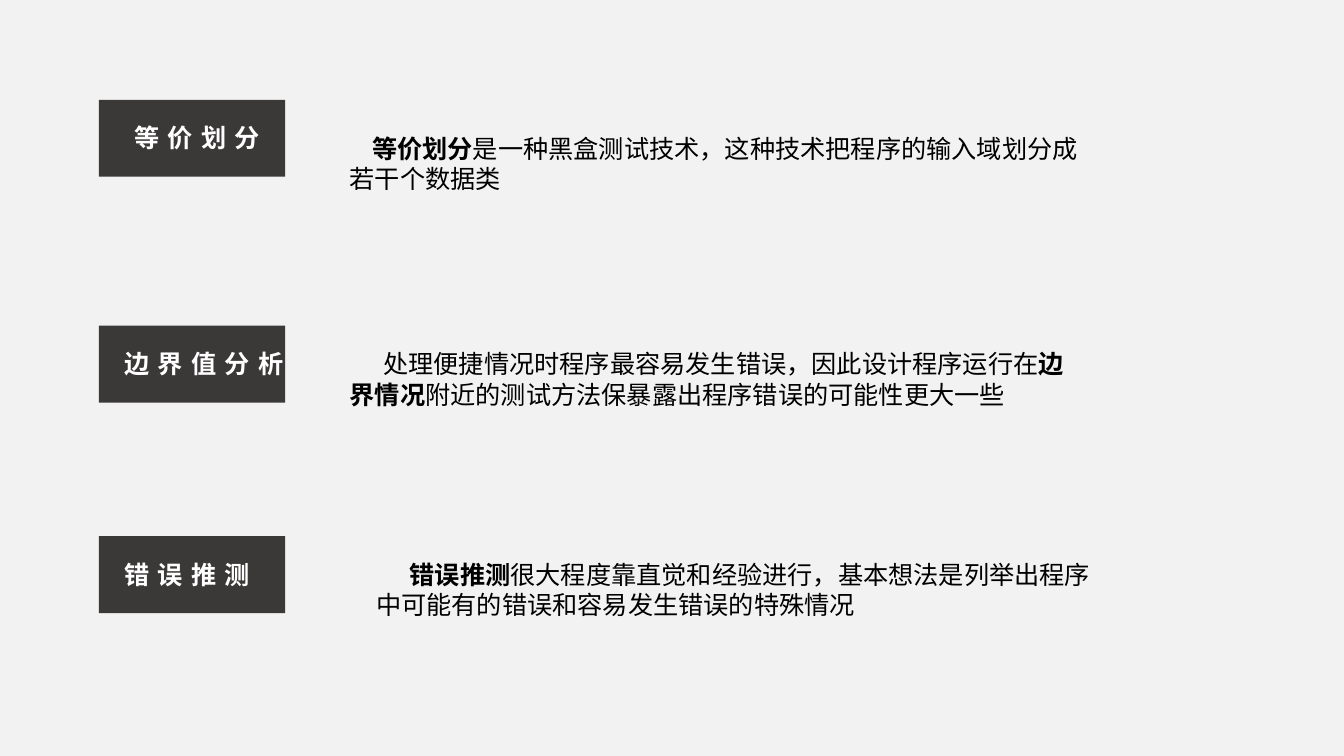
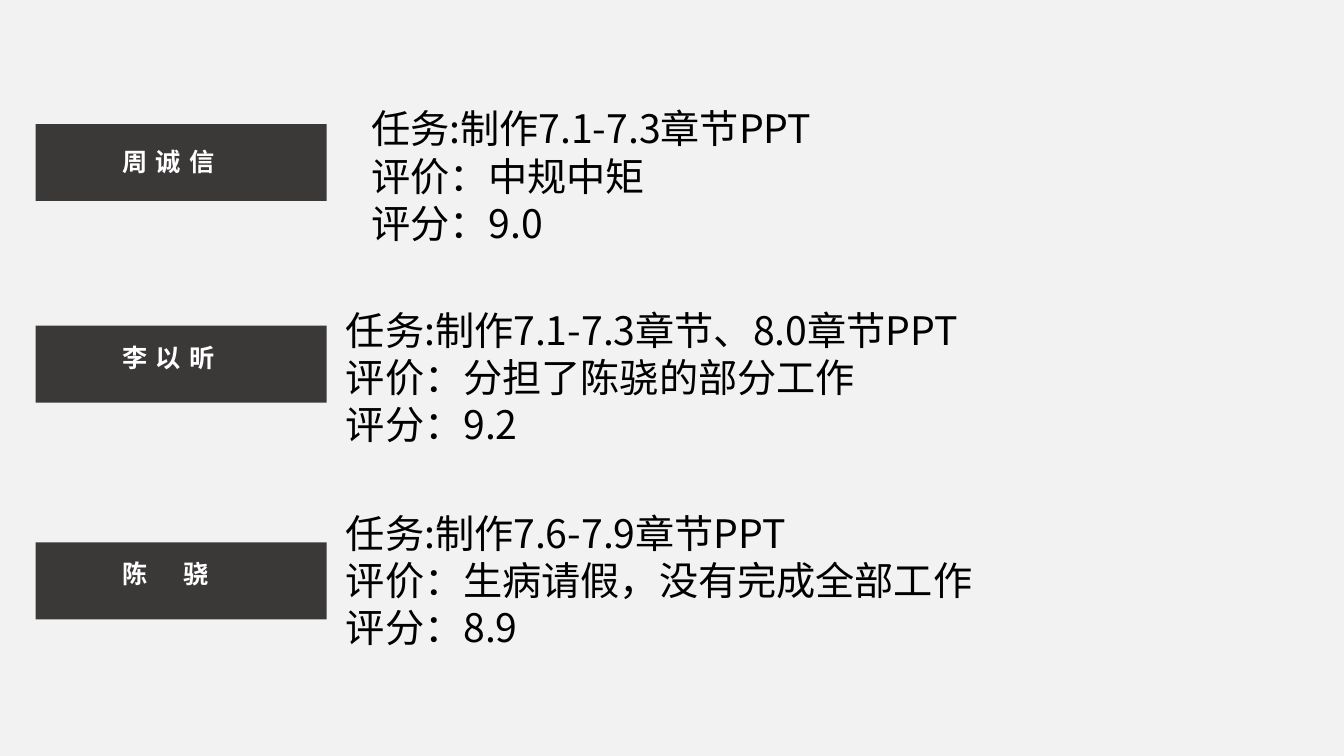
import pptx
import pptx.dml.color
import pptx.enum.shapes
import pptx.enum.text
import pptx.util
from lxml import etree
from pptx.oxml.ns import qn

Pt = pptx.util.Pt

FONT = "Noto Sans CJK SC"
BACKGROUND = "F2F2F2"
PLATE = "3B3838"
WHITE = "FFFFFF"
BLACK = "000000"
PLATE_HEIGHT = 55
TRACKING = 6

# Offsets are measured from the top left corner of the row's plate.
METHODS = [
    dict(top=71.3, label=[("等价划分", TRACKING)], label_offset=(18, 12.3),
         body_offset=(172, 20.2), indent=16,
         body=[("等价划分", True),
               ("是一种黑盒测试技术，这种技术把程序的输入域划分成若干个数据类", False)]),
    dict(top=232.6, label=[("边界值分析", TRACKING)], label_offset=(10.8, 13),
         body_offset=(172, 13), indent=24,
         body=[("处理便捷情况时程序最容易发生错误，因此设计程序运行在", False),
               ("边界情况", True),
               ("附近的测试方法保暴露出程序错误的可能性更大一些", False)]),
    dict(top=383, label=[("错误推测", TRACKING)], label_offset=(10.8, 13),
         body_offset=(190.8, 13), indent=24,
         body=[("错误推测", True),
               ("很大程度靠直觉和经验进行，基本想法是列举出程序中可能有的错误和容易发生错误的特殊情况",
                False)]),
]

# The two-character name is tracked out to the width of the others.
MEMBERS = [
    dict(top=88.6, label=[("周诚信", TRACKING)], label_offset=(54.7, 12.2),
         body_offset=(232.6, -17.3), body_width=677,
         body=["任务:制作7.1-7.3章节PPT", "评价：中规中矩", "评分：9.0"]),
    dict(top=232.6, label=[("李以昕", TRACKING)], label_offset=(54.7, 8.6),
         body_offset=(214.6, -17.3), body_width=480,
         body=["任务:制作7.1-7.3章节、8.0章节PPT", "评价：分担了陈骁的部分工作", "评分：9.2"]),
    dict(top=387.4, label=[("陈", 26), ("骁", TRACKING)], label_offset=(54.7, 7.9),
         body_offset=(214.6, -27.4), body_width=480,
         body=["任务:制作7.6-7.9章节PPT", "评价：生病请假，没有完成全部工作", "评分：8.9"]),
]


def rgb(value):
    return pptx.dml.color.RGBColor.from_string(value)


def add_run(paragraph, text, size, color, bold=False, tracking=0):
    run = paragraph.add_run()
    run.text = text
    run.font.size = Pt(size)
    run.font.bold = bold
    run.font.color.rgb = rgb(color)
    run.font.name = FONT
    properties = run.font._element
    etree.SubElement(properties, qn("a:ea")).set("typeface", FONT)
    if tracking:
        properties.set("spc", str(tracking * 100))


def add_text_frame(slide, left, top, width, height):
    frame = slide.shapes.add_textbox(Pt(left), Pt(top), Pt(width), Pt(height)).text_frame
    frame.word_wrap = True
    frame.auto_size = pptx.enum.text.MSO_AUTO_SIZE.SHAPE_TO_FIT_TEXT
    return frame


def add_plate(slide, left, top, width, label, label_offset, label_width):
    """Draw a dark plate with its tracked-out white label."""
    plate = slide.shapes.add_shape(pptx.enum.shapes.MSO_SHAPE.RECTANGLE,
                                   Pt(left), Pt(top), Pt(width), Pt(PLATE_HEIGHT))
    plate.shadow.inherit = False
    plate.fill.solid()
    plate.fill.fore_color.rgb = rgb(PLATE)
    plate.line.fill.background()
    dx, dy = label_offset
    frame = add_text_frame(slide, left + dx, top + dy, label_width, 29)
    for text, tracking in label:
        add_run(frame.paragraphs[0], text, 18, WHITE, True, tracking)


def add_method(slide, left, method):
    top = method["top"]
    add_plate(slide, left, top, 133, method["label"], method["label_offset"], 154)
    dx, dy = method["body_offset"]
    paragraph = add_text_frame(slide, left + dx, top + dy, 541, 51).paragraphs[0]
    paragraph._p.get_or_add_pPr().set("indent", str(Pt(method["indent"])))
    for text, bold in method["body"]:
        add_run(paragraph, text, 18, BLACK, bold)


def add_member(slide, left, member):
    top = member["top"]
    add_plate(slide, left, top, 208, member["label"], member["label_offset"], 88.6)
    dx, dy = member["body_offset"]
    frame = add_text_frame(slide, left + dx, top + dy, member["body_width"], 109)
    for index, line in enumerate(member["body"]):
        paragraph = frame.add_paragraph() if index else frame.paragraphs[0]
        add_run(paragraph, line, 28, BLACK)


def add_rows(presentation, left, rows, add_row):
    """Add a slide whose rows all start at the same left edge."""
    slide = presentation.slides.add_slide(presentation.slide_layouts[6])
    for row in rows:
        add_row(slide, left, row)


def main():
    presentation = pptx.Presentation()
    presentation.slide_width = Pt(960)
    presentation.slide_height = Pt(540)
    backdrop = presentation.slide_master.background.fill
    backdrop.solid()
    backdrop.fore_color.rgb = rgb(BACKGROUND)
    add_rows(presentation, 70.7, METHODS, add_method)
    add_rows(presentation, 25.4, MEMBERS, add_member)
    presentation.save("out.pptx")


if __name__ == "__main__":
    main()
